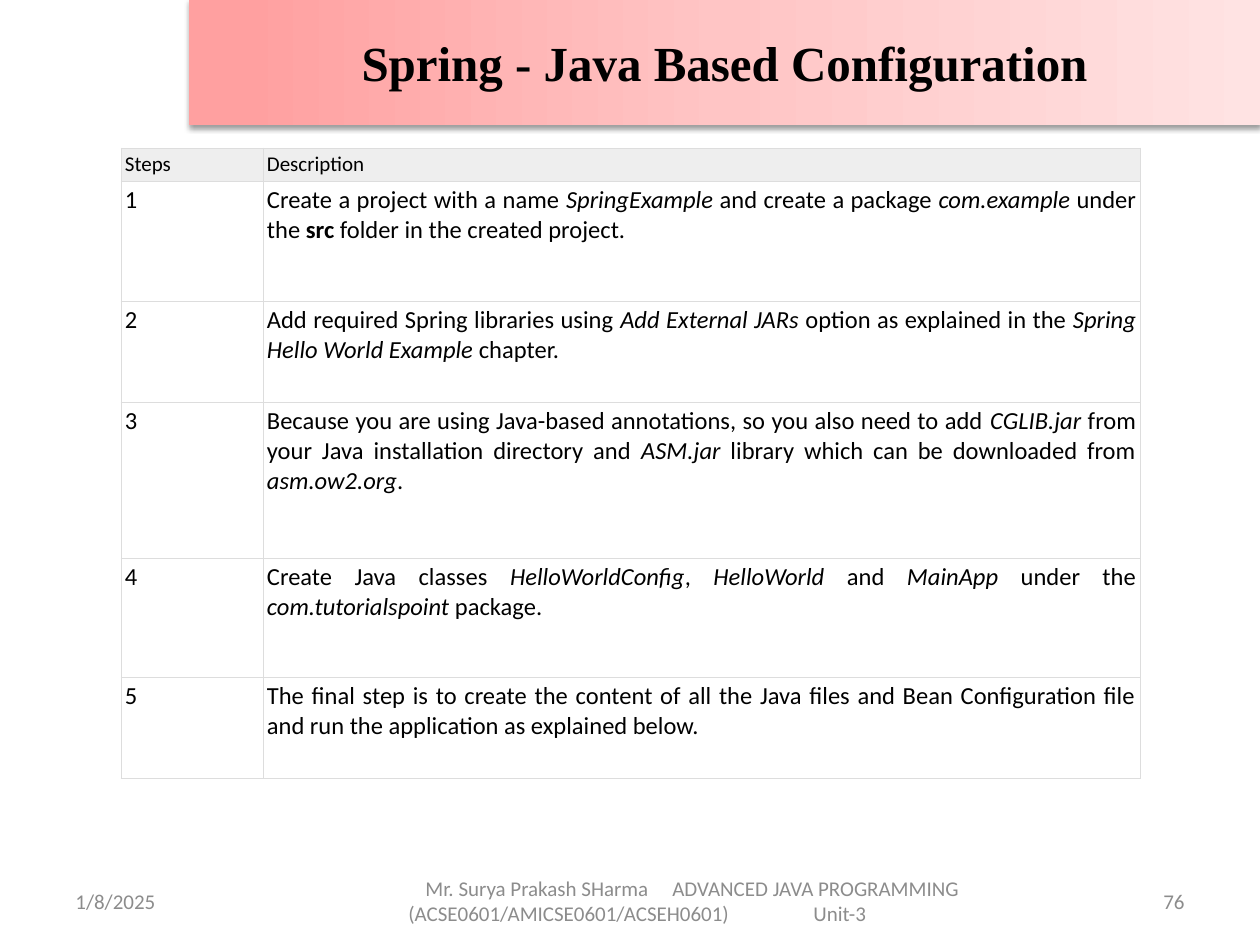
from dataclasses import dataclass

from lxml.etree import SubElement
from pptx import Presentation
from pptx.dml.color import RGBColor
from pptx.enum.text import MSO_ANCHOR, MSO_AUTO_SIZE, PP_ALIGN
from pptx.oxml import parse_xml
from pptx.oxml.ns import nsdecls, qn
from pptx.util import Emu, Pt

PX = 914400 / 126
COLORS = {
    "text": "000000", "muted": "8C8C8C", "header": "EEEEEE", "border": "DDDDDD",
    "banner_start": "FFA0A0", "banner_middle": "FFC5C5", "banner_end": "FFE3E3",
}


@dataclass(frozen=True)
class Span:
    text: str
    bold: bool = False
    italic: bool = False


@dataclass(frozen=True)
class Step:
    height: int
    spans: tuple[Span, ...]


@dataclass(frozen=True)
class FooterLine:
    text: str
    tabs: tuple[int, ...] = ()


@dataclass(frozen=True)
class FooterBox:
    left: int
    width: int
    align: PP_ALIGN
    lines: tuple[FooterLine, ...]


def italic(text: str) -> Span:
    return Span(text, italic=True)


STEPS = (
    Step(120, (Span("Create a project with a name "), italic("SpringExample"),
               Span(" and create a package "), italic("com.example "),
               Span("under the "), Span("src", bold=True),
               Span(" folder in the created project."))),
    Step(101, (Span("Add required Spring libraries using "), italic("Add External JARs"),
               Span(" option as explained in the "),
               italic("Spring Hello World Example"), Span(" chapter."))),
    Step(156, (Span("Because you are using Java-based annotations, so you also need to add "),
               italic("CGLIB.jar"), Span(" from your Java installation directory and "),
               italic("ASM.jar"), Span(" library which can be downloaded from "),
               italic("asm.ow2.org"), Span("."))),
    Step(119, (Span("Create Java classes "), italic("HelloWorldConfig"), Span(", "),
               italic("HelloWorld"), Span(" and "), italic("MainApp"),
               Span(" under the "), italic("com.tutorialspoint"), Span(" package."))),
    Step(101, (Span("The final step is to create the content of all the Java files and Bean "
                    "Configuration file and run the application as explained below."),)),
)
HEADER_HEIGHT = 33
COLUMN_WIDTHS = (142, 877)

FOOTER = (
    FooterBox(63, 294, PP_ALIGN.LEFT, (FooterLine("1/8/2025"),)),
    FooterBox(346, 693, PP_ALIGN.LEFT, (
        FooterLine("\tMr. Surya Prakash SHarma\tADVANCED JAVA PROGRAMMING", (67, 314)),
        FooterLine("\t(ACSE0601/AMICSE0601/ACSEH0601)\tUnit-3", (50, 455)),
    )),
    FooterBox(903, 294, PP_ALIGN.RIGHT, (FooterLine("76"),)),
)


def px(length: int) -> Emu:
    return Emu(round(length * PX))


def add_span(para, span: Span, size: int, color: str = "text", font: str = "Calibri") -> None:
    run = para.add_run()
    run.text = span.text
    run.font.name = font
    run.font.size = Pt(size)
    run.font.bold = span.bold
    run.font.italic = span.italic
    run.font.color.rgb = RGBColor.from_string(COLORS[color])


def add_banner(page) -> None:
    title = page.shapes.title
    title.left, title.top, title.width, title.height = px(189), px(-1), px(1071), px(126)
    stops = "".join(
        f'<a:gs pos="{position}000"><a:srgbClr val="{COLORS[name]}"/></a:gs>'
        for position, name in ((5, "banner_start"), (50, "banner_middle"), (100, "banner_end")))
    properties = title.element.spPr
    properties.append(parse_xml(
        f'<a:gradFill {nsdecls("a")} rotWithShape="1"><a:gsLst>{stops}</a:gsLst>'
        '<a:lin ang="0" scaled="0"/></a:gradFill>'))
    title.line.fill.background()
    properties.append(parse_xml(
        f'<a:effectLst {nsdecls("a")}><a:outerShdw blurRad="{Pt(3.1)}" dist="{Pt(1.6)}" '
        f'dir="5400000" rotWithShape="0"><a:srgbClr val="{COLORS["text"]}">'
        '<a:alpha val="38000"/></a:srgbClr></a:outerShdw></a:effectLst>'))
    frame = title.text_frame
    frame.auto_size = MSO_AUTO_SIZE.NONE
    frame.vertical_anchor = MSO_ANCHOR.MIDDLE
    para = frame.paragraphs[0]
    para.alignment = PP_ALIGN.CENTER
    add_span(para, Span("Spring - Java Based Configuration", bold=True), 28,
             font="Times New Roman")


def add_borders(cell) -> None:
    properties = cell._tc.get_or_add_tcPr()
    for side in ("lnL", "lnR", "lnT", "lnB"):
        properties.append(parse_xml(
            f'<a:{side} {nsdecls("a")} w="{Pt(0.6)}"><a:solidFill>'
            f'<a:srgbClr val="{COLORS["border"]}"/></a:solidFill></a:{side}>'))


def fill_cell(cell, spans: tuple[Span, ...], is_header: bool) -> None:
    add_borders(cell)
    cell.margin_left = cell.margin_right = cell.margin_top = cell.margin_bottom = px(4)
    if is_header:
        cell.fill.solid()
        cell.fill.fore_color.rgb = RGBColor.from_string(COLORS["header"])
    else:
        cell.fill.background()
    para = cell.text_frame.paragraphs[0]
    para.alignment = PP_ALIGN.LEFT if is_header else PP_ALIGN.JUSTIFY
    for span in spans:
        add_span(para, span, 12 if is_header else 14)


def add_steps_table(page) -> None:
    heights = (HEADER_HEIGHT, *(step.height for step in STEPS))
    table = page.shapes.add_table(len(heights), len(COLUMN_WIDTHS), px(121), px(148),
                                  px(sum(COLUMN_WIDTHS)), px(sum(heights))).table
    table.first_row = table.horz_banding = False
    for column, width in zip(table.columns, COLUMN_WIDTHS):
        column.width = px(width)
    for row, height in zip(table.rows, heights):
        row.height = px(height)
    contents = [((Span("Steps"),), (Span("Description"),))]
    contents += [((Span(str(number)),), step.spans) for number, step in enumerate(STEPS, 1)]
    for row_index, row in enumerate(contents):
        for column_index, spans in enumerate(row):
            fill_cell(table.cell(row_index, column_index), spans, row_index == 0)


def add_footer_box(page, footer: FooterBox) -> None:
    frame = page.shapes.add_textbox(px(footer.left), px(876), px(footer.width), px(50)).text_frame
    frame.word_wrap = True
    frame.vertical_anchor = MSO_ANCHOR.MIDDLE
    for index, line in enumerate(footer.lines):
        para = frame.add_paragraph() if index else frame.paragraphs[0]
        para.alignment = footer.align
        if line.tabs:
            tab_list = SubElement(para._p.get_or_add_pPr(), qn("a:tabLst"))
            for position in line.tabs:
                SubElement(tab_list, qn("a:tab"), pos=str(px(position)), algn="l")
        add_span(para, Span(line.text), 12, "muted")


def main() -> None:
    deck = Presentation()
    deck.slide_width, deck.slide_height = px(1260), px(945)
    page = deck.slides.add_slide(deck.slide_layouts[5])
    for footer in FOOTER:
        add_footer_box(page, footer)
    add_banner(page)
    add_steps_table(page)
    deck.save("out.pptx")


if __name__ == "__main__":
    main()
